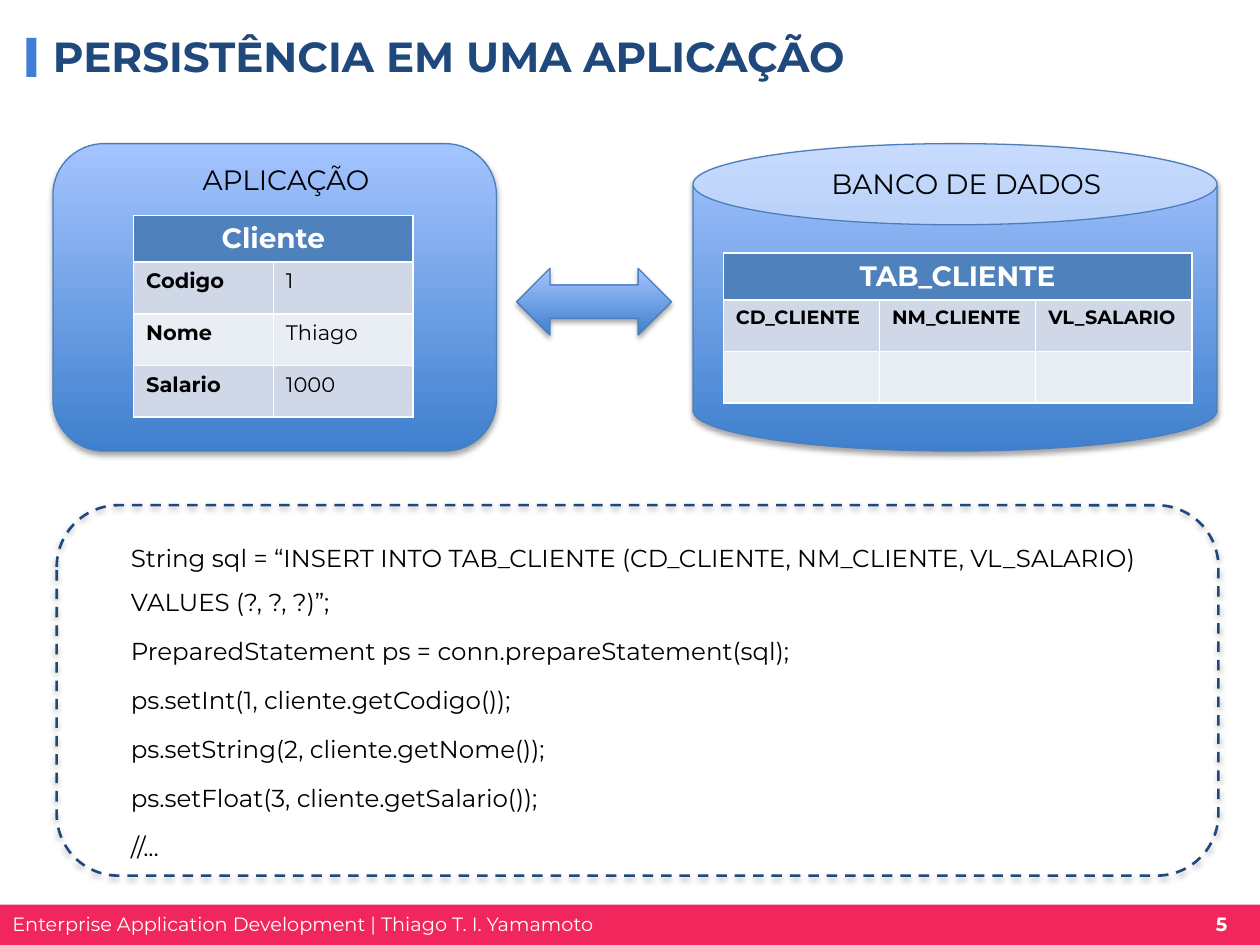
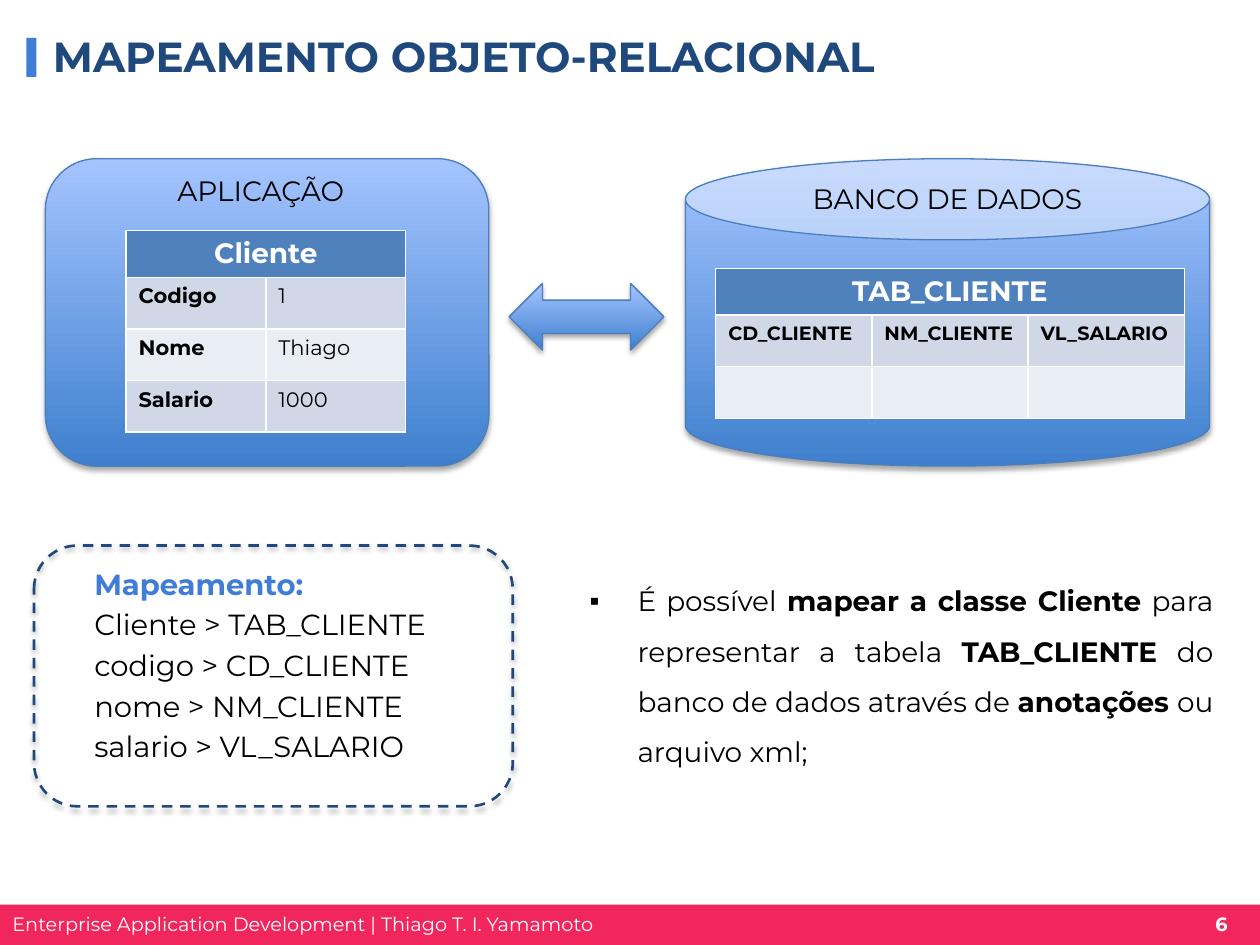
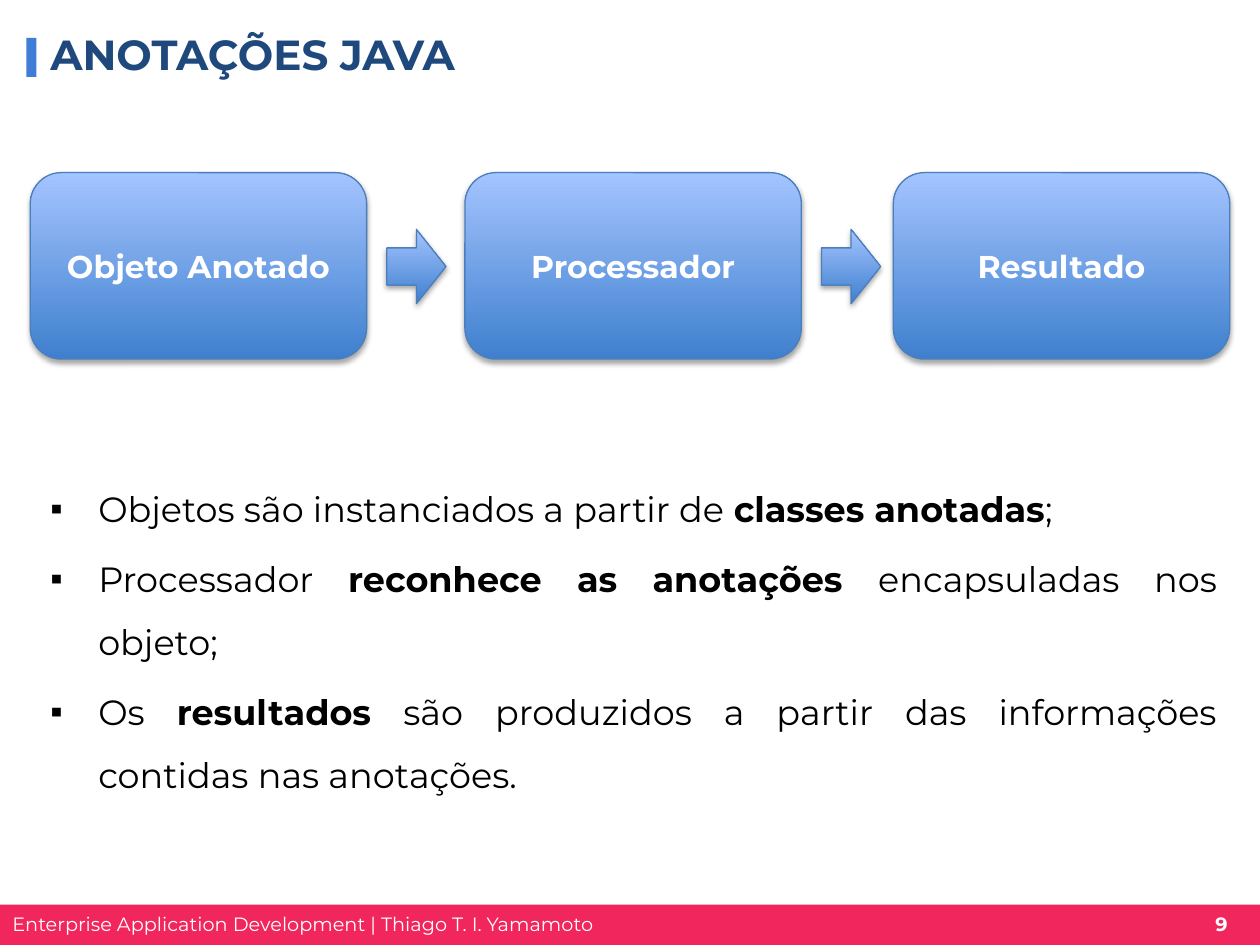
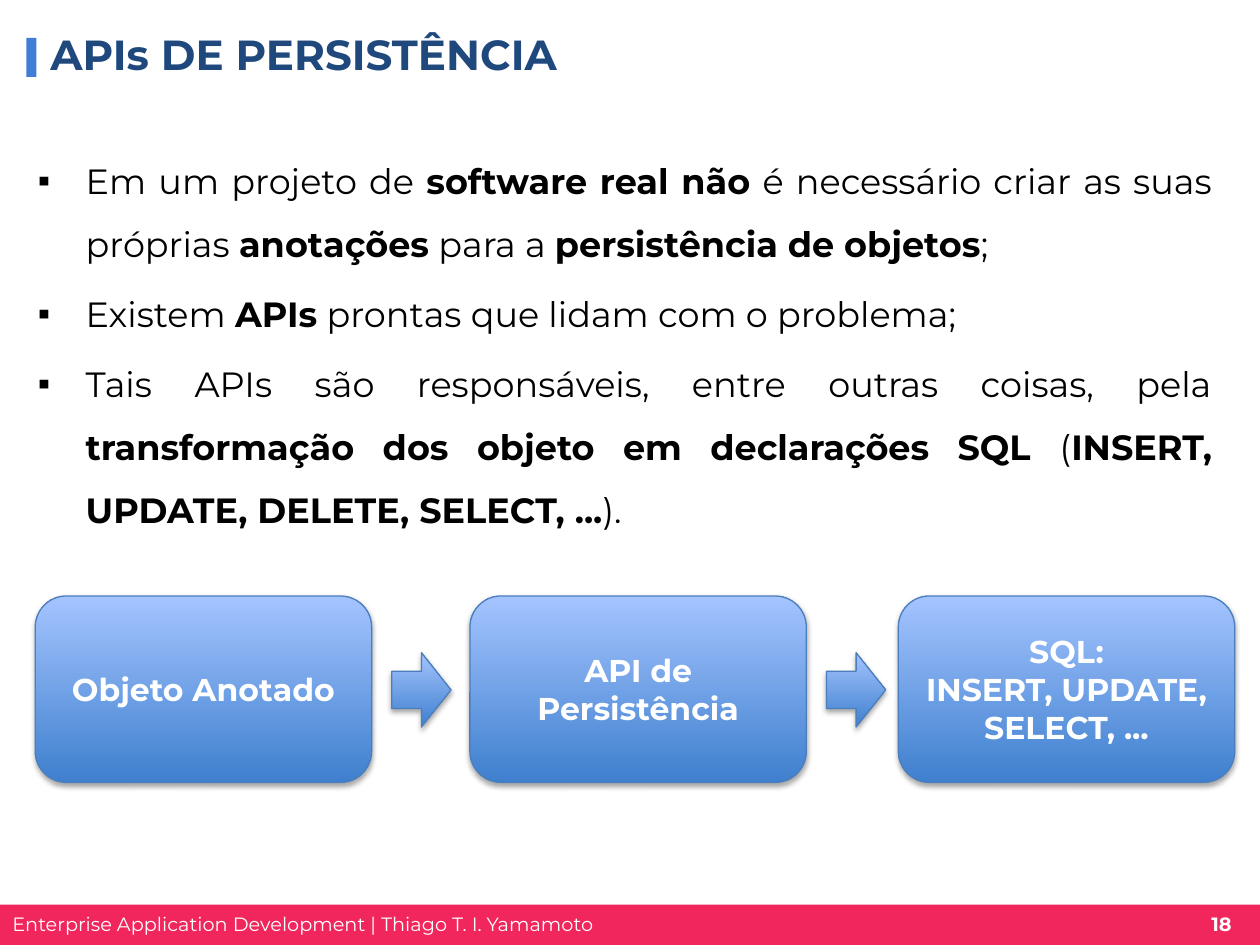
import lxml.etree
import pptx
import pptx.dml.color
import pptx.enum.dml
import pptx.enum.shapes
import pptx.enum.text
import pptx.oxml.ns
import pptx.util

RGBColor = pptx.dml.color.RGBColor
SHAPE = pptx.enum.shapes.MSO_SHAPE
ALIGN = pptx.enum.text.PP_ALIGN
ANCHOR = pptx.enum.text.MSO_ANCHOR
qn = pptx.oxml.ns.qn

FONT = "Montserrat"
WHITE = RGBColor(0xFF, 0xFF, 0xFF)
BLACK = RGBColor(0x00, 0x00, 0x00)
PINK = RGBColor(0xF0, 0x26, 0x5D)
BLUE = RGBColor(0x40, 0x7D, 0xD6)
NAVY = RGBColor(0x1F, 0x49, 0x7D)
EDGE = RGBColor(0x4B, 0x7E, 0xBC)
GRADIENT = (RGBColor(0x3F, 0x80, 0xCE), RGBColor(0xA4, 0xC4, 0xFF))
HEADER = RGBColor(0x4F, 0x81, 0xBD)
ROW_FILLS = (RGBColor(0xE9, 0xED, 0xF4), RGBColor(0xD0, 0xD8, 0xE8))

prs = pptx.Presentation()
prs.slide_width = pptx.util.Inches(10)
prs.slide_height = pptx.util.Inches(7.5)

# Grid of 100 columns by 75 rows
COL = prs.slide_width / 100
ROW = prs.slide_height / 75


def text(tf, paras, size, color=BLACK, bold=False, align=ALIGN.LEFT, anchor=ANCHOR.TOP,
         spacing=1.0, before=0, bullet=False):
    """Write paragraphs; words between ** are bold."""
    tf.word_wrap = True
    tf.auto_size = pptx.enum.text.MSO_AUTO_SIZE.NONE
    tf.vertical_anchor = anchor
    for i, para in enumerate(paras):
        p = tf.paragraphs[0] if i == 0 else tf.add_paragraph()
        if bullet:
            pPr = p._p.get_or_add_pPr()
            pPr.set("marL", str(int(3.8 * COL)))
            pPr.set("indent", str(int(-3.8 * COL)))
            lxml.etree.SubElement(pPr, qn("a:buChar")).set("char", "▪")
        p.alignment = align
        p.line_spacing = spacing
        p.space_before = pptx.util.Pt(before * size if i else 0)
        for j, part in enumerate(para.split("**")):
            if part:
                r = p.add_run()
                r.text = part
                r.font.name = FONT
                r.font.size = pptx.util.Pt(size)
                r.font.bold = bold or j % 2 == 1
                r.font.color.rgb = color


def shape(s, kind, x, y, w, h, look="gradient", fill=None):
    """Add a shape (or a text box when kind is None) on the grid."""
    place = [int(v) for v in (x * COL, y * ROW, w * COL, h * ROW)]
    if kind is None:
        return s.shapes.add_textbox(*place)
    sp = s.shapes.add_shape(kind, *place)
    sp.shadow.inherit = False
    if look == "flat":
        sp.fill.solid()
        sp.fill.fore_color.rgb = fill
        sp.line.fill.background()
        return sp
    if look == "dashed":
        sp.fill.background()
        sp.line.color.rgb = NAVY
        sp.line.width = pptx.util.Pt(1.5)
        sp.line.dash_style = pptx.enum.dml.MSO_LINE.DASH
    else:
        sp.fill.gradient()
        sp.fill.gradient_angle = 90
        for stop, color in zip(sp.fill.gradient_stops, GRADIENT):
            stop.color.rgb = color
        sp.line.color.rgb = EDGE
        sp.line.width = pptx.util.Pt(0.75)
    effects = sp.element.spPr.find(qn("a:effectLst"))
    shadow = lxml.etree.SubElement(effects, qn("a:outerShdw"), blurRad=str(pptx.util.Pt(3.1)),
                                   dist=str(pptx.util.Pt(1.8)), dir="5400000", rotWithShape="0")
    black = lxml.etree.SubElement(shadow, qn("a:srgbClr"), val="000000")
    lxml.etree.SubElement(black, qn("a:alpha"), val="35000")
    return sp


# Slides with title and page number: layout, number, title, left, top, line spacing
slides = []
for layout, number, title, x, y, spacing in (
        (5, "5", "PERSISTÊNCIA EM UMA APLICAÇÃO", 3.2, 2.3, 1.0),
        (1, "6", "MAPEAMENTO OBJETO-RELACIONAL", 3.2, 2.3, 1.0),
        (1, "9", "ANOTAÇÕES JAVA", 3, 2.4, 0.9),
        (1, "18", "APIs DE PERSISTÊNCIA", 3, 2.4, 0.9)):
    s = prs.slides.add_slide(prs.slide_layouts[layout])
    sp = s.shapes.title
    sp.left, sp.top, sp.width, sp.height = int(x * COL), int(y * ROW), int(80 * COL), int(4.3 * ROW)
    text(sp.text_frame, [title], 24, NAVY, bold=True, anchor=ANCHOR.MIDDLE, spacing=spacing)
    sp = shape(s, None, 94.9, 71.9, 4.1, 2.9)
    text(sp.text_frame, [number], 11, WHITE, bold=True, align=ALIGN.CENTER)
    slides.append(s)

# Footer band, title mark and footer text go to the master
s = slides[0]
band = shape(s, SHAPE.RECTANGLE, 0, 71.8, 100, 3.2, "flat", PINK)
mark = shape(s, SHAPE.RECTANGLE, 2.1, 3, 0.8, 3.1, "flat", BLUE)
footer = shape(s, None, 0, 71.9, 48.7, 2.9)
text(footer.text_frame, ["Enterprise Application Development | Thiago T. I. Yamamoto"], 11, WHITE)
for i, sp in enumerate((band, mark, footer)):
    sp.element.nvSpPr.cNvPr.set("id", str(20 + i))
    prs.slide_master.shapes.element.append(sp.element)

# Application and database diagram: slide, shift, label places
for s, dx, dy, app_label, db_label in (
        (slides[0], 0, 0, (15.1, 12.4), (65, 12.7)),
        (slides[1], -0.6, 1.2, (13.1, 13.3), (63.5, 13.9))):
    can = shape(s, SHAPE.CAN, 55 + dx, 11.4 + dy, 41.6, 24.4)
    can.adjustments[0] = 0.264
    shape(s, SHAPE.ROUNDED_RECTANGLE, 4.2 + dx, 11.4 + dy, 35.2, 24.4)
    shape(s, SHAPE.LEFT_RIGHT_ARROW, 41 + dx, 21.3 + dy, 12.3, 5.3)
    for label, (x, y), w in (("APLICAÇÃO", app_label, 16.1), ("BANCO DE DADOS", db_label, 23.8)):
        text(shape(s, None, x, y, w, 3.7).text_frame, [label], 16)

    # Tables: left, top, column width, header height, text size, header, rows
    for x, y, w, head_h, size, head, rows in (
            (57.4, 20.1, 12.4, 3.6, 11, "TAB_CLIENTE",
             [["**CD_CLIENTE**", "**NM_CLIENTE**", "**VL_SALARIO**"], ["", "", ""]]),
            (10.6, 17.1, 11.1, 3.4, 12, "Cliente",
             [["**Codigo**", "1"], ["**Nome**", "Thiago"], ["**Salario**", "1000"]])):
        n = len(rows[0])
        height = head_h + 4.1 * len(rows)
        tbl = s.shapes.add_table(len(rows) + 1, n, int((x + dx) * COL), int((y + dy) * ROW),
                                 int(n * w * COL), int(height * ROW)).table
        for column in tbl.columns:
            column.width = int(w * COL)
        for i, row in enumerate([[head] + [""] * (n - 1)] + rows):
            tbl.rows[i].height = int((4.1 if i else head_h) * ROW)
            for j, value in enumerate(row):
                cell = tbl.cell(i, j)
                cell.fill.solid()
                cell.fill.fore_color.rgb = ROW_FILLS[i % 2] if i else HEADER
                p = cell.text_frame.paragraphs[0]
                p.alignment = ALIGN.LEFT if i else ALIGN.CENTER
                for k, part in enumerate(value.split("**")):
                    if part:
                        r = p.add_run()
                        r.text = part
                        r.font.name = FONT
                        r.font.size = pptx.util.Pt(size if i else 16)
                        r.font.bold = i == 0 or k % 2 == 1
                        r.font.color.rgb = BLACK if i else WHITE
        tbl.cell(0, 0).merge(tbl.cell(0, n - 1))

# Code panel
s = slides[0]
shape(s, SHAPE.ROUNDED_RECTANGLE, 4.5, 40.1, 92.2, 29.4, "dashed")
sp = shape(s, None, 9.4, 44.5, 90, 24.4)
text(sp.text_frame, [
    "String sql = “INSERT INTO TAB_CLIENTE (CD_CLIENTE, NM_CLIENTE, VL_SALARIO) VALUES (?, ?, ?)”;",
    "PreparedStatement ps = conn.prepareStatement(sql);",
    "ps.setInt(1, cliente.getCodigo());",
    "ps.setString(2, cliente.getNome());",
    "ps.setFloat(3, cliente.getSalario());",
    "//...",
], 14, anchor=ANCHOR.BOTTOM, spacing=1.5, before=0.2)

# Mapping panel
s = slides[1]
shape(s, SHAPE.ROUNDED_RECTANGLE, 2.7, 43.3, 38, 20.7, "dashed")
sp = shape(s, None, 6.5, 44.5, 90, 16.6)
text(sp.text_frame, [
    "**Mapeamento:**",
    "Cliente > TAB_CLIENTE",
    "codigo > CD_CLIENTE",
    "nome > NM_CLIENTE",
    "salario > VL_SALARIO",
], 16.6, anchor=ANCHOR.BOTTOM, before=0.2)
sp.text_frame.paragraphs[0].runs[0].font.color.rgb = BLUE

# Bulleted lists: slide, left, top, width, size, items
for s, x, y, w, size, items in (
        (slides[1], 45.8, 44.5, 51.5, 16, [
            "É possível **mapear a classe Cliente** para representar a tabela **TAB_CLIENTE **"
            "do banco de dados através de **anotações **ou arquivo xml;"]),
        (slides[2], 3, 36.5, 94.6, 20, [
            "Objetos são instanciados a partir de **classes anotadas**;",
            "Processador **reconhece as anotações **encapsuladas nos objeto;",
            "Os **resultados** são produzidos a partir das informações contidas nas anotações."]),
        (slides[3], 2, 10.5, 95.2, 20, [
            "Em um projeto de **software real não** é necessário criar as suas próprias "
            "**anotações** para a **persistência de objetos**;",
            "Existem **APIs** prontas que lidam com o problema;",
            "Tais APIs são responsáveis, entre outras coisas, pela **transformação dos objeto em "
            "declarações SQL **(**INSERT, UPDATE, DELETE, SELECT, ...**)."])):
    sp = s.placeholders[1]
    sp.left, sp.top, sp.width, sp.height = int(x * COL), int(y * ROW), int(w * COL), int(43.2 * ROW)
    text(sp.text_frame, items, size, align=ALIGN.JUSTIFY, spacing=1.5, before=0.2, bullet=True)

# Three-step flows: slide, left, top, steps
for s, x, y, steps in (
        (slides[2], 2.4, 13.7, [["Objeto Anotado"], ["Processador"], ["Resultado"]]),
        (slides[3], 2.8, 47.3, [["Objeto Anotado"], ["API de Persistência"],
                                ["SQL:", "INSERT, UPDATE,", "SELECT, ..."]])):
    for step, dx in zip(steps, (0, 34.5, 68.5)):
        sp = shape(s, SHAPE.ROUNDED_RECTANGLE, x + dx, y, 26.7, 14.8)
        text(sp.text_frame, step, 18, WHITE, bold=True, align=ALIGN.CENTER, anchor=ANCHOR.MIDDLE)
    for dx in (0, 34.5):
        shape(s, SHAPE.RIGHT_ARROW, x + dx + 28.3, y + 4.5, 4.7, 5.9)

prs.save("out.pptx")
